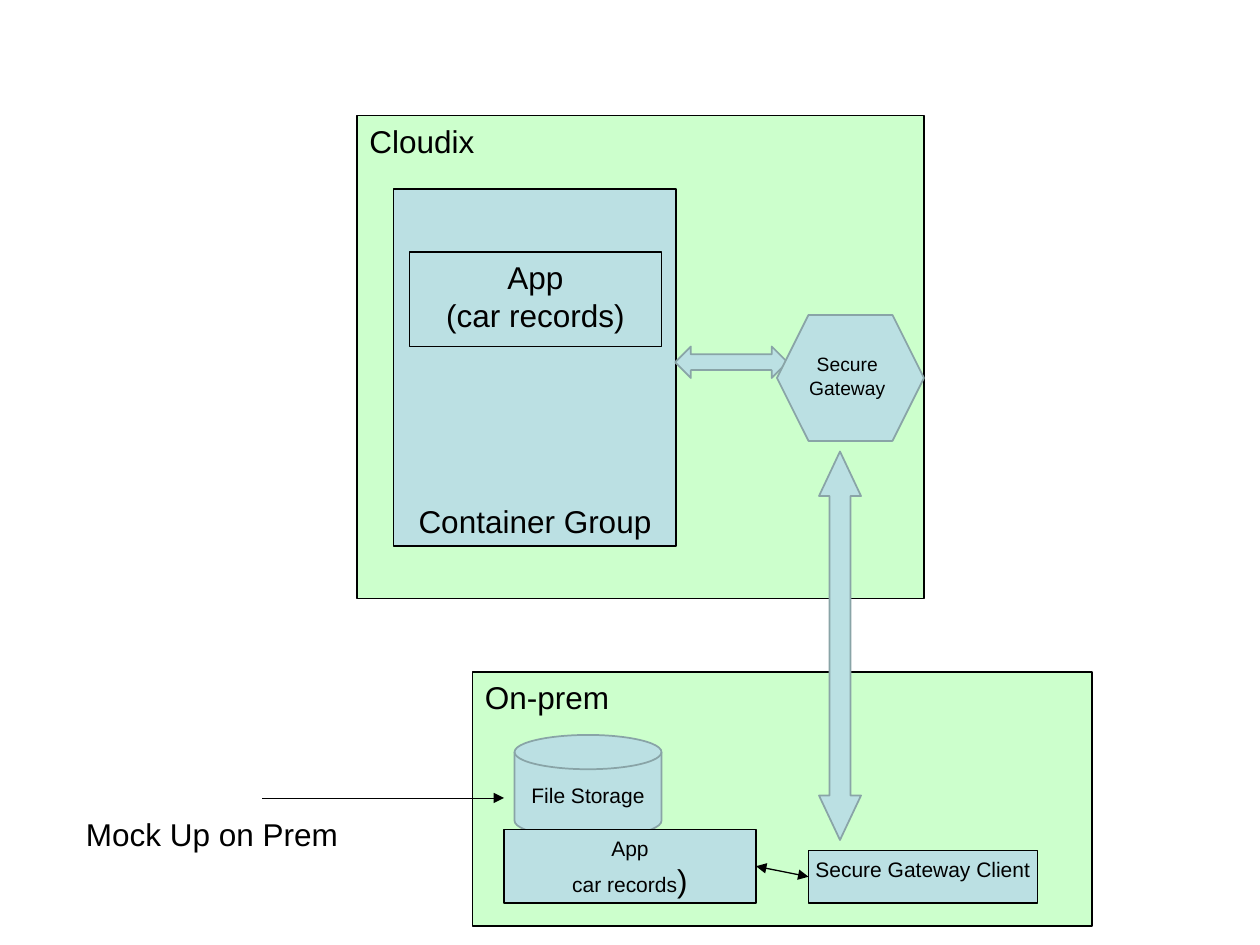
from lxml import etree
from pptx import Presentation
from pptx.dml.color import RGBColor
from pptx.enum.shapes import MSO_CONNECTOR, MSO_SHAPE
from pptx.enum.text import MSO_ANCHOR, PP_ALIGN
from pptx.oxml.ns import qn
from pptx.util import Inches, Pt

RECT = MSO_SHAPE.RECTANGLE
HEXAGON = MSO_SHAPE.HEXAGON
DISK = MSO_SHAPE.FLOWCHART_MAGNETIC_DISK
ARROW = MSO_SHAPE.LEFT_RIGHT_ARROW
STRAIGHT = MSO_CONNECTOR.STRAIGHT
LEFT, CENTER = PP_ALIGN.LEFT, PP_ALIGN.CENTER
TOP, MIDDLE, BOTTOM = MSO_ANCHOR.TOP, MSO_ANCHOR.MIDDLE, MSO_ANCHOR.BOTTOM

GREEN, BLUE, GRAY, BLACK = "CCFFCC", "BBE0E3", "89A4A7", "000000"
COLS, ROWS = 120, 90
W, H = Inches(10), Inches(7.5)


def color(value):
    return RGBColor.from_string(value)


def place(box, col, row, cols, rows):
    return box[0] + col, box[1] + row, cols, rows


def emu(box):
    x, y, w, h = box
    return [round(v) for v in (x * W / COLS, y * H / ROWS, w * W / COLS, h * H / ROWS)]


def write(sp, text, size, align=CENTER, anchor=TOP, wrap=True):
    tf = sp.text_frame
    tf.text = text
    tf.word_wrap = wrap
    tf.vertical_anchor = anchor
    for p in tf.paragraphs:
        p.alignment = align
        for r in p.runs:
            r.font.name = "Arial"
            r.font.size = Pt(size)
            r.font.color.rgb = color(BLACK)


def shape(s, kind, box, fill=BLUE, line=BLACK, width=0.75):
    sp = s.shapes.add_shape(kind, *emu(box))
    sp.shadow.inherit = False
    sp.fill.solid()
    sp.fill.fore_color.rgb = color(fill)
    sp.line.color.rgb = color(line)
    sp.line.width = Pt(width)
    return sp


def symbol(s, kind, box):
    return shape(s, kind, box, line=GRAY, width=1)


def label(s, box, text, size, align=LEFT):
    sp = s.shapes.add_textbox(*emu(box))
    write(sp, text, size, align)


def connector(s, start, end, width, heads):
    x1, y1, x2, y2 = emu((*start, *end))
    line = s.shapes.add_connector(STRAIGHT, x1, y1, x2, y2)
    line.line.color.rgb = color(BLACK)
    line.line.width = Pt(width)
    for head in heads:
        etree.SubElement(line.line._get_or_add_ln(), qn(f"a:{head}"), type="triangle")
    etree.SubElement(line._element.spPr, qn("a:effectLst"))
    return line


def region(s, box, title):
    write(shape(s, RECT, box, GREEN), title, 18, LEFT)


def cloud(s, box):
    region(s, box, "Cloudix")
    group = shape(s, RECT, place(box, 3.5, 7, 26.9, 34))
    write(group, "Container Group", 18, anchor=BOTTOM)
    app = shape(s, RECT, place(box, 5, 13, 24, 9))
    write(app, "App\n(car records)", 18)
    symbol(s, ARROW, place(box, 30.3, 22, 10.7, 3))
    symbol(s, HEXAGON, place(box, 40, 19, 14, 12))
    label(s, place(box, 39, 22, 15.4, 5.6), "Secure Gateway", 11, CENTER)


def on_prem(s, box):
    region(s, box, "On-prem")
    disk = symbol(s, DISK, place(box, 4, 6, 14, 9.8))
    write(disk, "File Storage", 12, anchor=MIDDLE)
    client = shape(s, RECT, place(box, 32, 17, 21.8, 5))
    write(client, "Secure Gateway Client", 12, wrap=False)
    app = shape(s, RECT, place(box, 3, 15, 24, 7))
    write(app, "App\ncar records", 12)
    p = app.text_frame.paragraphs[1]
    r = p.add_run()
    r.text = ")"
    r.font.name = "Arial"
    r.font.size = Pt(18)
    r.font.color.rgb = color(BLACK)
    link = connector(s, (72, 82.5), (77, 83.5), 0.75, ("headEnd", "tailEnd"))
    link.begin_connect(app, 3)
    link.end_connect(client, 1)


def gateway_link(s, box):
    arrow = symbol(s, ARROW, box)
    arrow.adjustments[1] = 1.06
    arrow.rotation = 270


def mock_up(s, box):
    x, y = box[:2]
    label(s, place(box, 0, 1, 39, 4.8), "Mock Up on Prem", 18)
    connector(s, (x + 18, y), (x + 41, y), 0.5, ("tailEnd",))


def main():
    prs = Presentation()
    prs.slide_width, prs.slide_height = W, H
    s = prs.slides.add_slide(prs.slide_layouts[6])
    on_prem(s, (45, 64, 59, 24.2))
    cloud(s, (34, 11, 54, 46))
    gateway_link(s, (61.5, 59.5, 37, 4))
    mock_up(s, (7, 76, 41, 6))
    prs.save("out.pptx")


if __name__ == "__main__":
    main()
